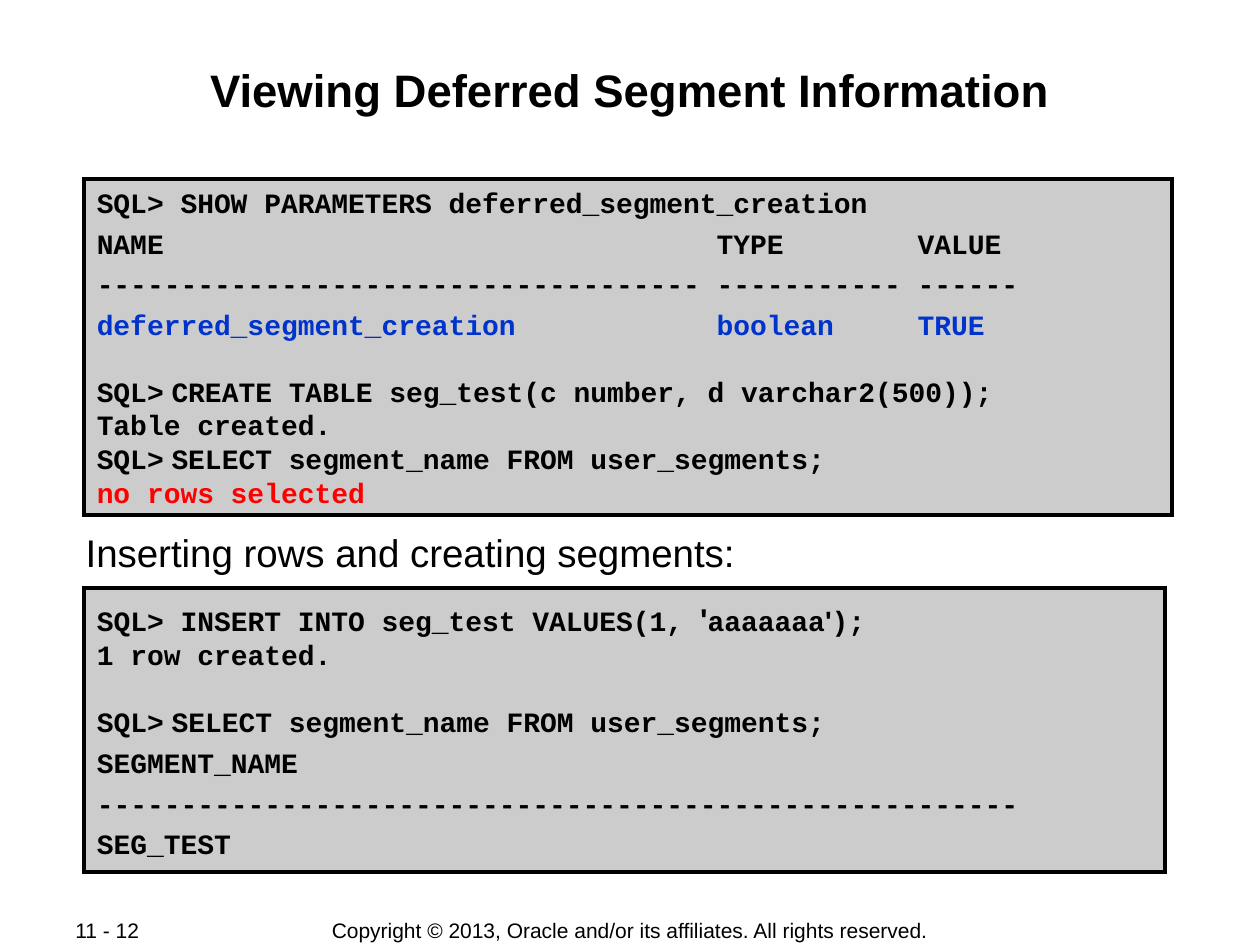
from dataclasses import dataclass

import lxml.etree
import pptx
import pptx.dml.color
import pptx.enum.shapes
import pptx.enum.text
import pptx.oxml.ns
import pptx.util

Inches = pptx.util.Inches
Pt = pptx.util.Pt
ALIGN = pptx.enum.text.PP_ALIGN
ANCHOR = pptx.enum.text.MSO_ANCHOR


@dataclass(frozen=True)
class Theme:
    """Colours, fonts and type sizes of the slide."""
    black: str = "000000"
    panel: str = "CCCCCC"
    blue: str = "0033CC"
    red: str = "FF0000"
    sans: str = "Arial"
    mono: str = "Courier New"
    title: float = 26
    heading: float = 22
    quote: float = 18
    code: float = 16
    footer: float = 12
    row_gap: float = 4
    blank_line: float = 19.2


THEME = Theme()
PROMPT = [("SQL>", {}), (" ", {"font": THEME.sans})]
SELECT = PROMPT + [("SELECT segment_name FROM user_segments;", {})]


def add_run(p, text, font=THEME.sans, size=THEME.code, color=THEME.black, bold=False):
    """Add one formatted run to a paragraph."""
    r = p.add_run()
    r.text = text
    r.font.name = font
    r.font.size = Pt(size)
    r.font.bold = bold
    r.font.color.rgb = pptx.dml.color.RGBColor.from_string(color)


def set_frame(tf, inset_x, inset_y, anchor, wrap=True):
    """Set the insets, anchor and wrapping of a text frame."""
    tf.margin_left = tf.margin_right = Inches(inset_x)
    tf.margin_top = tf.margin_bottom = Inches(inset_y)
    tf.vertical_anchor = anchor
    tf.word_wrap = wrap


def add_label(slide, box, text, align=ALIGN.LEFT, inset=(0.01, 0.01),
              anchor=ANCHOR.TOP, wrap=True, **style):
    """Place a single-paragraph text box."""
    sp = slide.shapes.add_textbox(*map(Inches, box))
    set_frame(sp.text_frame, *inset, anchor, wrap)
    p = sp.text_frame.paragraphs[0]
    p.alignment = align
    add_run(p, text, **style)


def add_code_panel(slide, box, lines):
    """Place a square-cornered panel with lines given as (space before, runs)."""
    sp = slide.shapes.add_shape(pptx.enum.shapes.MSO_SHAPE.RECTANGLE, *map(Inches, box))
    sp.shadow.inherit = False
    sp.fill.solid()
    sp.fill.fore_color.rgb = pptx.dml.color.RGBColor.from_string(THEME.panel)
    sp.line.color.rgb = pptx.dml.color.RGBColor.from_string(THEME.black)
    sp.line.width = Pt(2.25)
    ln = sp.element.spPr.find(pptx.oxml.ns.qn("a:ln"))
    lxml.etree.SubElement(ln, pptx.oxml.ns.qn("a:miter"), lim="800000")
    tf = sp.text_frame
    set_frame(tf, 0.1, 0.01, ANCHOR.MIDDLE)
    for i, (before, runs) in enumerate(lines):
        p = tf.add_paragraph() if i else tf.paragraphs[0]
        p.alignment = ALIGN.LEFT
        if before:
            p.space_before = Pt(before)
        for text, style in runs:
            add_run(p, text, **{"font": THEME.mono, "bold": True, **style})


def add_footer(slide, box):
    """Place the page number and the copyright line in the footer strip."""
    left, top, width, height = box
    style = dict(inset=(0.1, 0.05), anchor=ANCHOR.MIDDLE, wrap=False, size=THEME.footer)
    add_label(slide, (left, top, 1.06, height), "11 - 12", **style)
    add_label(slide, (left + 1.5, top, width - 3, height),
              "Copyright © 2013, Oracle and/or its affiliates. All rights reserved.",
              align=ALIGN.CENTER, **style)


def build_slide(prs):
    """Build the deferred segment slide."""
    slide = prs.slides.add_slide(prs.slide_layouts[6])
    gap, blank = THEME.row_gap, THEME.blank_line
    add_footer(slide, (0.5, 7.28, 9, 0.21))
    add_label(slide, (0.67, 0.48, 8.66, 0.96), "Viewing Deferred Segment Information",
              align=ALIGN.CENTER, size=THEME.title, bold=True)
    add_code_panel(slide, (0.67, 1.42, 8.63, 2.67), [
        (0, [("SQL> SHOW PARAMETERS deferred_segment_creation", {})]),
        (gap, [("NAME                                 TYPE        VALUE", {})]),
        (gap, [("------------------------------------ ----------- ------", {})]),
        (gap, [("deferred_segment_creation            boolean     TRUE",
                {"color": THEME.blue})]),
        (blank, PROMPT + [("CREATE TABLE seg_test(c number, d varchar2(500));", {})]),
        (0, [("Table created.", {})]),
        (0, SELECT),
        (0, [("no rows selected", {"color": THEME.red})]),
    ])
    add_code_panel(slide, (0.67, 4.67, 8.58, 2.25), [
        (0, [("SQL> INSERT INTO seg_test VALUES(1, ", {}),
             ("'", {"font": THEME.sans, "size": THEME.quote}),
             ("aaaaaaa", {}),
             ("'", {"font": THEME.sans}),
             (");", {})]),
        (0, [("1 row created.", {})]),
        (blank, SELECT),
        (gap, [("SEGMENT_NAME", {})]),
        (gap, [("-------------------------------------------------------", {})]),
        (gap, [("SEG_TEST", {})]),
    ])
    add_label(slide, (0.67, 4.19, 8.66, 0.39), "Inserting rows and creating segments:",
              size=THEME.heading)


def main():
    """Create and save the presentation."""
    prs = pptx.Presentation()
    prs.slide_width, prs.slide_height = Inches(10), Inches(7.5)
    build_slide(prs)
    prs.save("out.pptx")


if __name__ == "__main__":
    main()
